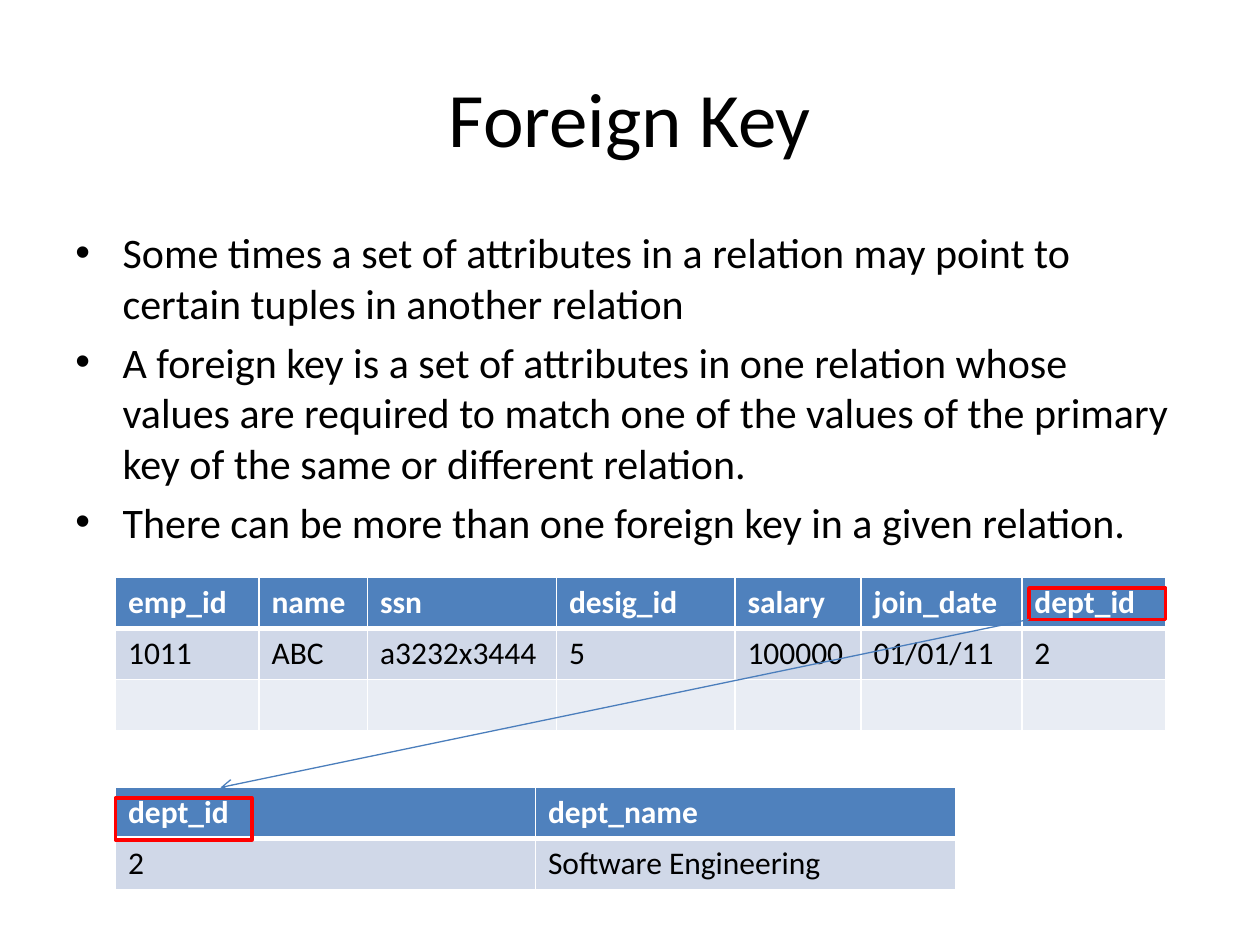
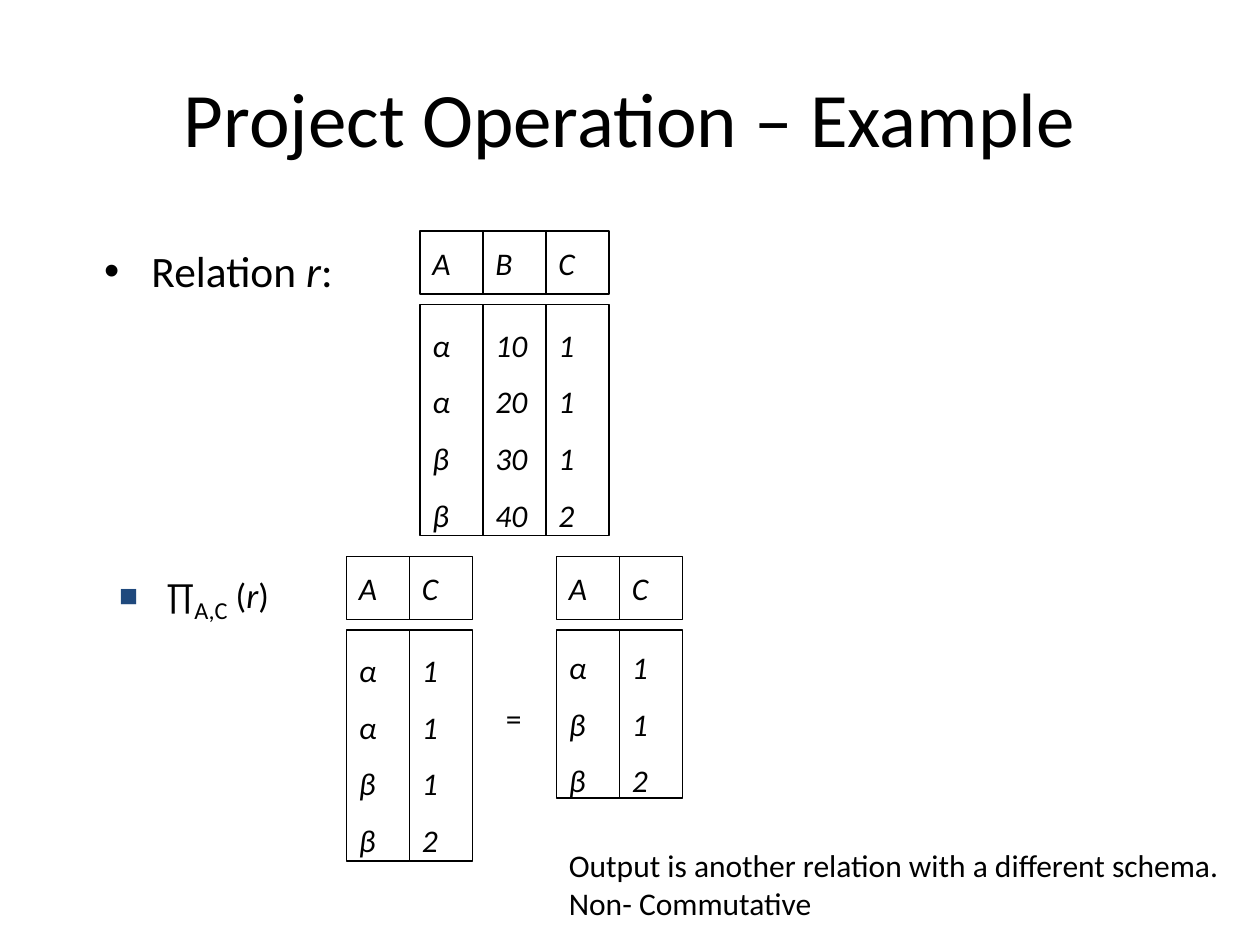
from lxml import etree
from pptx import Presentation
from pptx.dml.color import RGBColor
from pptx.enum.shapes import MSO_CONNECTOR, MSO_SHAPE
from pptx.enum.text import MSO_ANCHOR, PP_ALIGN
from pptx.oxml.ns import qn
from pptx.util import Pt

RECT, STRAIGHT = MSO_SHAPE.RECTANGLE, MSO_CONNECTOR.STRAIGHT
TOP, MIDDLE = MSO_ANCHOR.TOP, MSO_ANCHOR.MIDDLE
LEFT, CENTER = PP_ALIGN.LEFT, PP_ALIGN.CENTER

FONT = "Calibri"
COLORS = {"text": "000000", "white": "FFFFFF", "header": "4F81BD", "band1": "D0D8E8",
          "band2": "E9EDF4", "key": "FF0000", "arrow": "4B7EBC", "square": "1F497D"}
INDENT = 27
CELL = 36
GAP = 6
ROW_H = 29.2


def color(name):
    return RGBColor.from_string(COLORS[name])


def sub(parent, tag, **attrs):
    return etree.SubElement(parent, qn(tag), attrs)


def add_run(p, text, size=18, ink="text", bold=False, italic=False, baseline=None):
    r = p.add_run()
    r.text = text
    r.font.name, r.font.size = FONT, Pt(size)
    r.font.bold, r.font.italic = bold, italic
    r.font.color.rgb = color(ink)
    if baseline:
        r.font._element.set("baseline", str(baseline))


def add_bullet(p, char="•", ink=None, percent=100):
    pPr = p._p.get_or_add_pPr()
    pPr.set("marL", str(Pt(INDENT)))
    pPr.set("indent", str(-Pt(INDENT)))
    if ink:
        sub(sub(pPr, "a:buClr"), "a:srgbClr", val=COLORS[ink])
    sub(pPr, "a:buSzPct", val=str(percent * 1000))
    sub(pPr, "a:buFont", typeface="Arial")
    sub(pPr, "a:buChar", char=char)


def paragraphs(tf, count):
    return [tf.paragraphs[0]] + [tf.add_paragraph() for _ in range(count - 1)]


def add_text_frame(s, x, y, w, h, anchor=TOP, wrap=True):
    tf = s.shapes.add_textbox(Pt(x), Pt(y), Pt(w), Pt(h)).text_frame
    tf.word_wrap, tf.vertical_anchor = wrap, anchor
    return tf


def add_slide(prs, title):
    s = prs.slides.add_slide(prs.slide_layouts[6])
    p = add_text_frame(s, 36, 21.6, 648, 90, MIDDLE).paragraphs[0]
    p.alignment = CENTER
    add_run(p, title, 44)
    return s


def add_box(s, x, y, w, h, line, width, fill=None):
    sp = s.shapes.add_shape(RECT, Pt(x), Pt(y), Pt(w), Pt(h))
    sp.shadow.inherit = False
    if fill:
        sp.fill.solid()
        sp.fill.fore_color.rgb = color(fill)
    else:
        sp.fill.background()
    sp.line.color.rgb, sp.line.width = color(line), Pt(width)
    return sp


def add_bullets(s, x, y, w, h, items):
    tf = add_text_frame(s, x, y, w, h)
    for i, (p, text) in enumerate(zip(paragraphs(tf, len(items)), items)):
        if i:
            p.space_before = Pt(5)
        add_bullet(p)
        add_run(p, text, 24)


def style_cell(cell, text, fill, header):
    tcPr = cell._tc.get_or_add_tcPr()
    for side in "LRTB":
        width = 3 if header and side == "B" else 1
        ln = sub(tcPr, f"a:ln{side}", w=str(Pt(width)))
        sub(sub(ln, "a:solidFill"), "a:srgbClr", val=COLORS["white"])
    cell.fill.solid()
    cell.fill.fore_color.rgb = color(fill)
    if text:
        add_run(cell.text_frame.paragraphs[0], text, ink="white" if header else "text",
                bold=header)


def add_relation_table(s, x, y, widths, rows):
    frame = s.shapes.add_table(len(rows), len(widths), Pt(x), Pt(y),
                               Pt(sum(widths)), Pt(ROW_H * len(rows)))
    table = frame.table
    for column, width in zip(table.columns, widths):
        column.width = Pt(width)
    for i, (row, fill) in enumerate(zip(rows, ("header", "band1", "band2"))):
        table.rows[i].height = Pt(ROW_H)
        for j, text in enumerate(row):
            style_cell(table.cell(i, j), text, fill, i == 0)


def add_reference_arrow(s, x1, y1, x2, y2):
    line = s.shapes.add_connector(STRAIGHT, Pt(x1), Pt(y1), Pt(x2), Pt(y2))
    line.line.color.rgb, line.line.width = color("arrow"), Pt(0.75)
    sub(line.line._get_or_add_ln(), "a:tailEnd", type="arrow")
    sub(line._element.spPr, "a:effectLst")


def add_column_box(s, x, y, h, values, spacing=None):
    tf = add_box(s, x, y, CELL, h, "text", 0.75, "white").text_frame
    tf.word_wrap, tf.vertical_anchor = False, MIDDLE
    for p, value in zip(paragraphs(tf, len(values)), values):
        p.alignment = LEFT
        if spacing:
            p.line_spacing = spacing
        add_run(p, value, italic=True)


def add_relation(s, x, y, h, columns):
    for i, (name, values) in enumerate(columns.items()):
        left = x + i * CELL
        add_column_box(s, left, y, CELL, [name])
        add_column_box(s, left, y + CELL + GAP, h, values.split(), 1.5)


def add_relation_label(s, x, y):
    p = add_text_frame(s, x, y, 554, 32).paragraphs[0]
    add_bullet(p)
    add_run(p, "Relation", 24.8)
    add_run(p, " r", 24.8, italic=True)
    add_run(p, ":", 24.8)


def add_projection_label(s, x, y):
    p = add_text_frame(s, x, y, 554, 32).paragraphs[0]
    add_bullet(p, "■", "square", 90)
    add_run(p, "∏", 20)
    add_run(p, "A,C", 24, baseline=-25000)
    add_run(p, " (", 20)
    add_run(p, "r", 20, italic=True)
    add_run(p, ")", 20)


def add_note(s, x, y, w, h, lines, anchor=TOP):
    tf = add_text_frame(s, x, y, w, h, anchor, wrap=False)
    for p, text in zip(paragraphs(tf, len(lines)), lines):
        add_run(p, text)


def foreign_key_slide(prs):
    s = add_slide(prs, "Foreign Key")
    add_bullets(s, 36, 126, 648, 356, [
        "Some times a set of attributes in a relation may point to certain tuples in "
        "another relation",
        "A foreign key is a set of attributes in one relation whose values are required "
        "to match one of the values of the primary key of the same or different relation.",
        "There can be more than one foreign key in a given relation."])
    add_relation_table(s, 66, 330, [82, 62, 108, 102, 72, 92, 82], [
        ["emp_id", "name", "ssn", "desig_id", "salary", "join_date", "dept_id"],
        ["1011", "ABC", "a3232x3444", "5", "100000", "01/01/11", "2"],
        [""] * 7])
    add_box(s, 588, 336, 78, 18, "key", 2)
    add_relation_table(s, 66, 450, [240, 240], [
        ["dept_id", "dept_name"], ["2", "Software Engineering"]])
    add_reference_arrow(s, 588, 354, 126, 450)
    add_box(s, 66, 456, 78, 24, "key", 2)


def project_slide(prs):
    s = add_slide(prs, "Project Operation – Example")
    add_relation_label(s, 52.5, 136)
    add_relation(s, 240, 132, 132, {"A": "α α β β", "B": "10 20 30 40", "C": "1 1 1 2"})
    add_relation(s, 198, 318, 132, {"A": "α α β β", "C": "1 1 1 2"})
    add_note(s, 282, 396, 25, 29, ["="], MIDDLE)
    add_relation(s, 318, 318, 96, {"A": "α β β", "C": "1 1 2"})
    add_projection_label(s, 61, 320.4)
    add_note(s, 318, 480, 391, 51, [
        "Output is another relation with a different schema.", "Non- Commutative"])


def main():
    prs = Presentation()
    prs.slide_width, prs.slide_height = Pt(720), Pt(540)
    foreign_key_slide(prs)
    project_slide(prs)
    prs.save("out.pptx")


if __name__ == "__main__":
    main()
